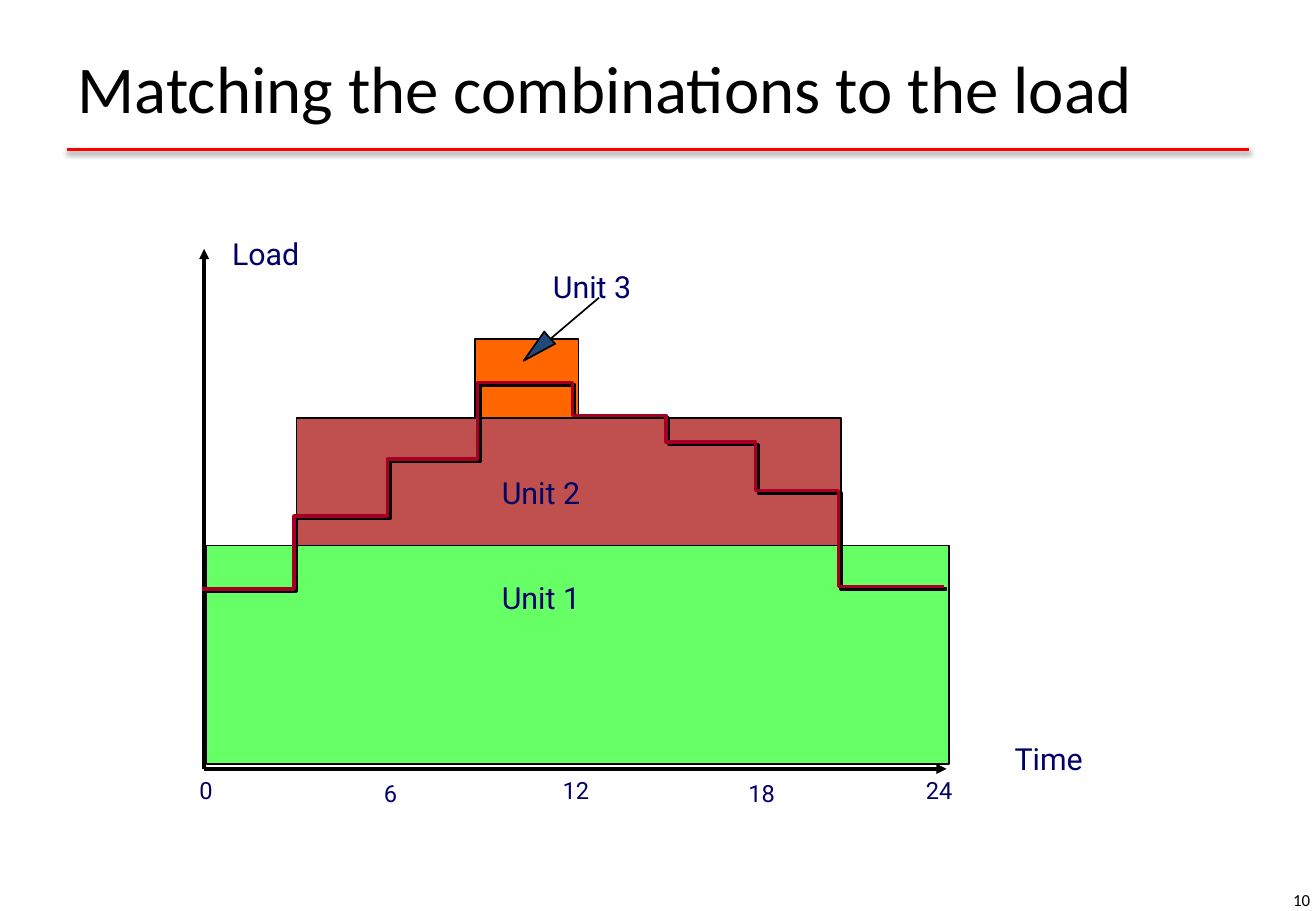
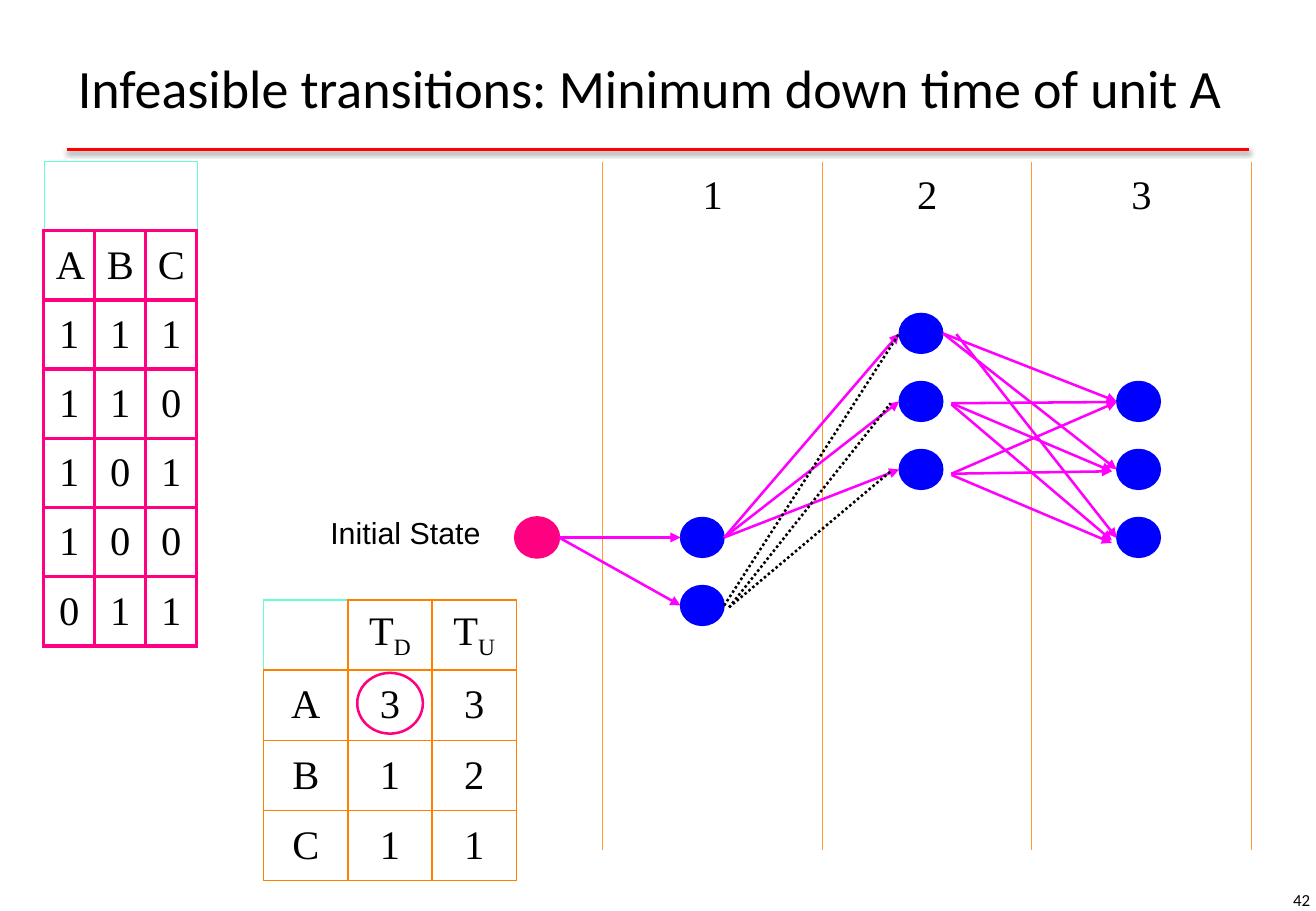
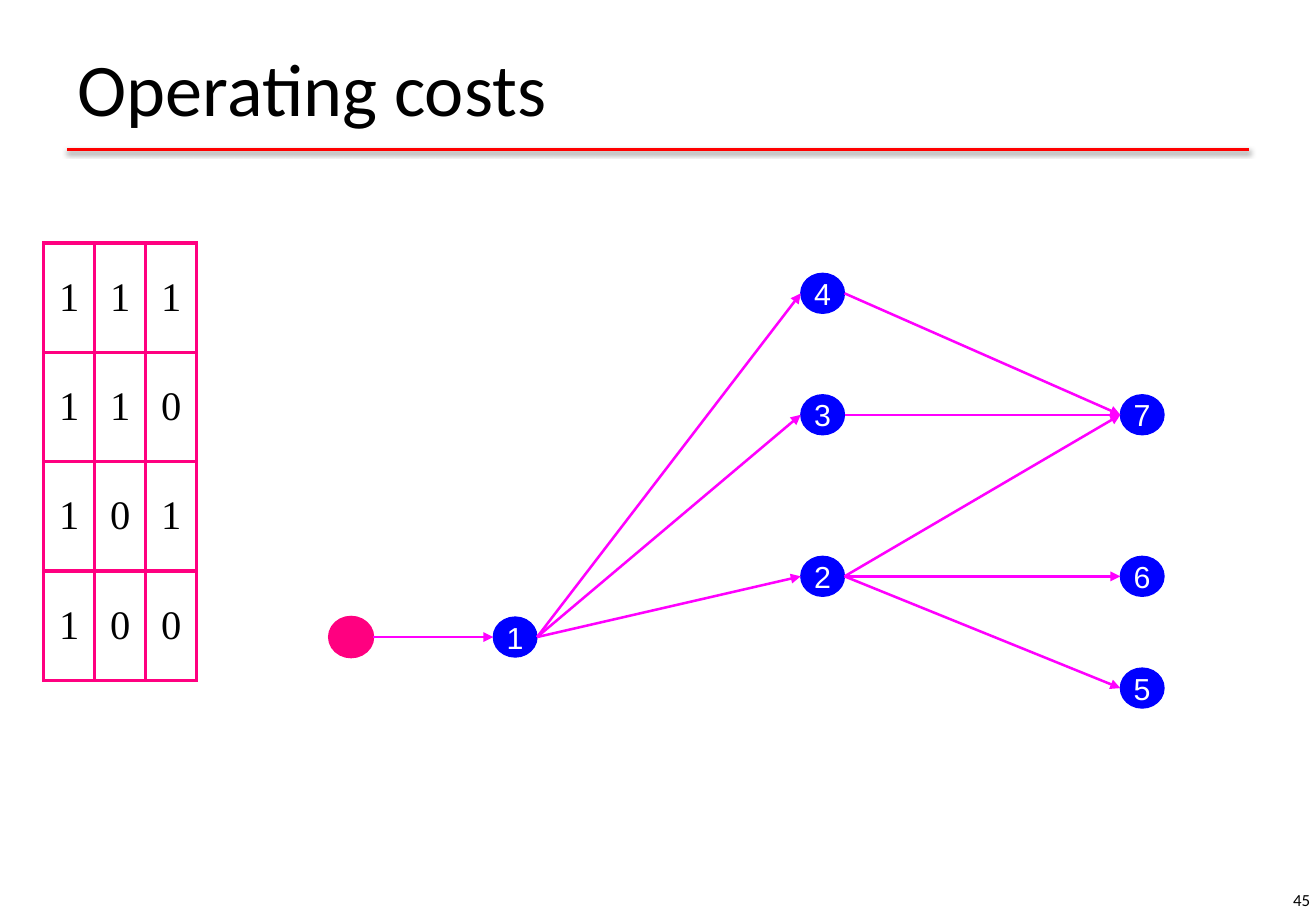
"""Three slides on unit commitment: load matching, transitions and costs."""
from itertools import pairwise, product

from lxml import etree
from pptx import Presentation
from pptx import util as u
from pptx.dml.color import RGBColor
from pptx.enum import dml, shapes, text
from pptx.oxml import ns

BLACK = RGBColor(0x00, 0x00, 0x00)
WHITE = RGBColor(0xFF, 0xFF, 0xFF)
RED = RGBColor(0xFF, 0x00, 0x00)
CRIMSON = RGBColor(0xA5, 0x00, 0x21)
NAVY = RGBColor(0x00, 0x00, 0x66)
STEEL = RGBColor(0x1F, 0x49, 0x7D)
BLUE = RGBColor(0x00, 0x00, 0xFF)
PINK = RGBColor(0xFF, 0x00, 0x80)
MAGENTA = RGBColor(0xFF, 0x00, 0xFF)
TEAL = RGBColor(0x66, 0xFF, 0xCC)
AMBER = RGBColor(0xFF, 0x99, 0x33)
ORANGE = RGBColor(0xFF, 0x80, 0x00)
UNIT_1 = RGBColor(0x66, 0xFF, 0x66)
UNIT_2 = RGBColor(0xC0, 0x50, 0x4D)
UNIT_3 = RGBColor(0xFF, 0x66, 0x00)

NODE_W, NODE_H = 0.36, 0.33
OVAL = shapes.MSO_SHAPE.OVAL
RECTANGLE = shapes.MSO_SHAPE.RECTANGLE


def inches(values):
    """Turn plain numbers into lengths."""
    return [u.Inches(value) for value in values]


def add_xml(parent, tag, **attributes):
    """Append a drawing element to its parent."""
    return etree.SubElement(parent, ns.qn(tag), attributes)


class Deck:
    """Holds the shared style and the slide being built."""

    def __init__(self):
        """Start an empty presentation."""
        self.prs = Presentation()
        self.prs.slide_width, self.prs.slide_height = inches((10.83, 7.5))
        self.slide = None

    def new_slide(self, title, size, number):
        """Add a slide with its title, red rule and page number."""
        self.slide = self.prs.slides.add_slide(self.prs.slide_layouts[5])
        heading = self.slide.shapes.title
        heading.left, heading.top, heading.width, heading.height = inches(
            (0.54, 0.13, 9.75, 1.17))
        frame = heading.text_frame
        frame.auto_size = text.MSO_AUTO_SIZE.NONE
        self.add_words(frame, title, size, "Calibri", BLACK)
        frame.vertical_anchor = text.MSO_ANCHOR.MIDDLE
        effects = self.line((0.55, 1.23), (10.28, 1.23), RED, 2)
        shadow = add_xml(effects, "a:outerShdw", blurRad=str(u.Pt(3.1)),
                         dist=str(u.Pt(1.6)), dir="5400000", rotWithShape="0")
        tint = add_xml(shadow, "a:srgbClr", val=str(BLACK))
        add_xml(tint, "a:alpha", val="38000")
        page = self.label((8.35, 7.21, 2.53, 0.4), number, 10, "Calibri", BLACK,
                          0.1, text.PP_ALIGN.RIGHT)
        page.vertical_anchor = text.MSO_ANCHOR.MIDDLE

    def add_words(self, frame, content, size, font, color,
                  align=text.PP_ALIGN.LEFT):
        """Fill one paragraph; what follows an underscore is a subscript."""
        paragraph = frame.paragraphs[0]
        paragraph.alignment = align
        for index, part in enumerate(content.split("_")):
            run = paragraph.add_run()
            run.text = part
            run.font.size, run.font.name = u.Pt(size), font
            run.font.color.rgb = color
            if index:
                run.font._element.set("baseline", "-25000")

    def label(self, box, content, size=18, font="Roboto", color=NAVY, inset=0,
              align=text.PP_ALIGN.LEFT):
        """Add a text box and return its frame."""
        frame = self.slide.shapes.add_textbox(*inches(box)).text_frame
        frame.word_wrap = True
        frame.margin_left = frame.margin_right = u.Inches(inset)
        frame.margin_top = frame.margin_bottom = u.Inches(inset / 2)
        self.add_words(frame, content, size, font, color, align)
        return frame

    def paint(self, shape, fill, color, width):
        """Set fill and outline and drop the shadow."""
        shape.shadow.inherit = False
        if fill is None:
            shape.fill.background()
        else:
            shape.fill.solid()
            shape.fill.fore_color.rgb = fill
        shape.line.color.rgb = color
        shape.line.width = u.Pt(width)

    def shape(self, kind, box, fill, color=BLACK, width=1):
        """Add a preset shape."""
        shape = self.slide.shapes.add_shape(kind, *inches(box))
        self.paint(shape, fill, color, width)
        return shape

    def outline(self, points, closed, fill, color, width):
        """Add a freeform through the points."""
        start, *rest = [inches(point) for point in points]
        builder = self.slide.shapes.build_freeform(*start)
        builder.add_line_segments(rest, close=closed)
        self.paint(builder.convert_to_shape(), fill, color, width)

    def node(self, left, top, number=""):
        """Add a blue state and return its box."""
        box = (left, top, NODE_W, NODE_H)
        state = self.shape(OVAL, box, BLUE, BLUE, 0.75)
        if number:
            frame = state.text_frame
            frame.word_wrap = False
            frame.vertical_anchor = text.MSO_ANCHOR.MIDDLE
            self.add_words(frame, number, 18, "Arial", WHITE,
                           text.PP_ALIGN.CENTER)
        return box

    def initial(self, left, top):
        """Add the pink initial state and return its box."""
        box = (left, top, NODE_W, NODE_H)
        self.shape(OVAL, box, PINK, PINK, 1.5)
        return box

    def line(self, start, end, color=BLACK, width=1.0, arrow=False, dash=None):
        """Add a straight line and return its list of effects."""
        line = self.slide.shapes.add_connector(
            shapes.MSO_CONNECTOR.STRAIGHT, *inches((*start, *end)))
        line.line.color.rgb = color
        line.line.width = u.Pt(width)
        if dash:
            line.line.dash_style = dash
        if arrow:
            add_xml(line.line._get_or_add_ln(), "a:tailEnd", type="triangle")
        return add_xml(line._element.spPr, "a:effectLst")

    def link(self, source, target, **style):
        """Join the right of one state to the left of another."""
        style = style or {"color": MAGENTA, "arrow": True}
        self.line((source[0] + NODE_W, source[1] + NODE_H / 2),
                  (target[0], target[1] + NODE_H / 2), width=1.5, **style)

    def table(self, box, rows, edges, special=None, widths=(), merge_to=None):
        """Add a table; edges go left, right, top, bottom as (colour, points)."""
        table = self.slide.shapes.add_table(
            len(rows), len(rows[0]), *inches(box)).table
        table.first_row = table.horz_banding = False
        for column, width in zip(table.columns, inches(widths)):
            column.width = width
        for place in product(range(len(rows)), range(len(rows[0]))):
            cell = table.cell(*place)
            cell.fill.background()
            cell.vertical_anchor = text.MSO_ANCHOR.MIDDLE
            content = rows[place[0]][place[1]].strip()
            if content:
                self.add_words(cell.text_frame, content, 24, "Times New Roman",
                               BLACK, text.PP_ALIGN.CENTER)
            self.edge(cell, (special or {}).get(place, edges))
        if merge_to:
            table.cell(0, 0).merge(table.cell(*merge_to))

    def edge(self, cell, edges):
        """Draw the four borders of a cell."""
        properties = cell._tc.get_or_add_tcPr()
        for index, (side, edge) in enumerate(zip("LRTB", edges)):
            border = add_xml(properties, f"a:ln{side}")
            if edge:
                border.set("w", str(u.Pt(edge[1])))
                fill = add_xml(border, "a:solidFill")
                add_xml(fill, "a:srgbClr", val=str(edge[0]))
            else:
                add_xml(border, "a:noFill")
            properties.insert(index, border)


def load_slide(deck):
    """Units stacked under the daily load profile."""
    deck.new_slide("Matching the combinations to the load", 39.6, "10")
    for box, fill in (((3.91, 2.79, 0.85, 0.65), UNIT_3),
                      ((2.44, 3.44, 4.48, 1.05), UNIT_2),
                      ((1.7, 4.49, 6.11, 1.8), UNIT_1)):
        deck.shape(RECTANGLE, box, fill)
    for axis_end in ((1.68, 2.05), (7.79, 6.33)):
        deck.line((1.68, 6.33), axis_end, width=2, arrow=True)
    for left, top, hour in ((1.64, 6.39, "0"), (3.16, 6.41, "6"),
                            (4.63, 6.39, "12"), (6.16, 6.41, "18"),
                            (7.62, 6.39, "24")):
        deck.label((left, top, 0.33, 0.33), hour, 14)
    times = (1.66, 2.42, 3.19, 3.93, 4.71, 5.48, 6.22, 6.9, 7.77)
    loads = (4.85, 4.25, 3.78, 3.15, 3.42, 3.64, 4.04, 4.83)
    for shift, color in ((0.02, BLACK), (0, CRIMSON)):
        profile = [(time + shift, load + shift)
                   for span, load in zip(pairwise(times), loads) for time in span]
        deck.outline(profile, False, None, color, 2)
    for left, top, name in ((1.91, 1.94, "Load"), (8.35, 6.09, "Time"),
                            (4.13, 4.77, "Unit 1"), (4.13, 3.9, "Unit 2"),
                            (4.55, 2.21, "Unit 3")):
        deck.label((left, top, 1, 0.43), name)
    pointer = ((4.31, 2.97), (4.48, 2.73), (4.53, 2.79), (4.57, 2.83))
    deck.outline(pointer, True, STEEL, BLACK, 1)
    deck.line((4.93, 2.45), (4.53, 2.79))


def transitions_slide(deck):
    """Transitions that the minimum down time of a unit rules out."""
    deck.new_slide("Infeasible transitions: Minimum down time of unit A", 32, "42")
    pink, teal = (PINK, 2.25), (TEAL, 0.25)
    deck.table((0.36, 1.33, 1.26, 3.99),
               ("   ", "ABC", "111", "110", "101", "100", "011"), (pink,) * 4,
               {(0, col): (teal, teal, teal, pink) for col in range(3)},
               merge_to=(0, 2))
    amber = (AMBER, 1)
    deck.table((4.42, 1.33, 5.88, 5.67), [" 123"] + ["    "] * 9,
               (amber, amber, None, None),
               {(row, 0): (None, amber, None, None) for row in range(10)},
               widths=(0.54, 1.81, 1.72, 1.81))

    tops = [2.58 + 0.56 * row for row in range(5)]
    first = [deck.node(5.6, top) for top in tops[3:]]
    second = [deck.node(7.4, top) for top in tops[:3]]
    third = [deck.node(9.19, top) for top in tops[1:4]]
    start = deck.initial(4.24, tops[3])
    deck.label((2.62, 4.18, 1.5, 0.4), "Initial State", 18, "Arial", BLACK, 0.1)
    for source, target in (*product([start], first), *product(first[:1], second),
                           *product(second[:1], third[:2])):
        deck.link(source, target)
    dots = dml.MSO_LINE.ROUND_DOT
    deck.link(first[1], second[0], color=BLACK, dash=dots)
    for height in (3.32, 3.88):
        deck.line((6, 5), (7.33, height), BLACK, 1.5, dash=dots)
    for tail, head in (((7.87, 2.75), (9.19, 4.43)), ((7.83, 3.32), (9.15, 3.88)),
                       ((7.83, 3.33), (9.15, 4.45)), ((7.83, 3.32), (9.19, 3.31)),
                       ((7.83, 3.91), (9.15, 4.47)), ((7.83, 3.9), (9.19, 3.31)),
                       ((7.83, 3.9), (9.15, 3.88))):
        deck.line(tail, head, MAGENTA, 1.5, arrow=True)

    orange, teal = (ORANGE, 1), (TEAL, 1)
    deck.table((2.17, 4.94, 2.08, 2.31),
               (("", "T_D", "T_U"), "A33", "B12", "C11"), (orange,) * 4,
               {(0, 0): (teal, orange, teal, orange)})
    deck.shape(OVAL, (2.94, 5.54, 0.54, 0.5), None, PINK, 1.5)


def costs_slide(deck):
    """Numbered states reached from the initial one."""
    deck.new_slide("Operating costs", 44, "45")
    deck.table((0.36, 2, 1.26, 3.6), ("111", "110", "101", "100"),
               ((PINK, 2.25),) * 4)
    places = ((4.06, 5.08), (6.59, 4.58), (6.59, 3.25), (6.59, 2.25),
              (9.22, 5.5), (9.22, 4.58), (9.22, 3.25))
    states = [deck.initial(2.71, 5.08)]
    states += [deck.node(*place, str(number))
               for number, place in enumerate(places, 1)]
    for source, target in ((0, 1), (1, 4), (1, 3), (1, 2), (4, 7), (3, 7),
                           (2, 5), (2, 7), (2, 6)):
        deck.link(states[source], states[target])


def main():
    """Build and save the slides."""
    deck = Deck()
    load_slide(deck)
    transitions_slide(deck)
    costs_slide(deck)
    deck.prs.save("out.pptx")


if __name__ == "__main__":
    main()
